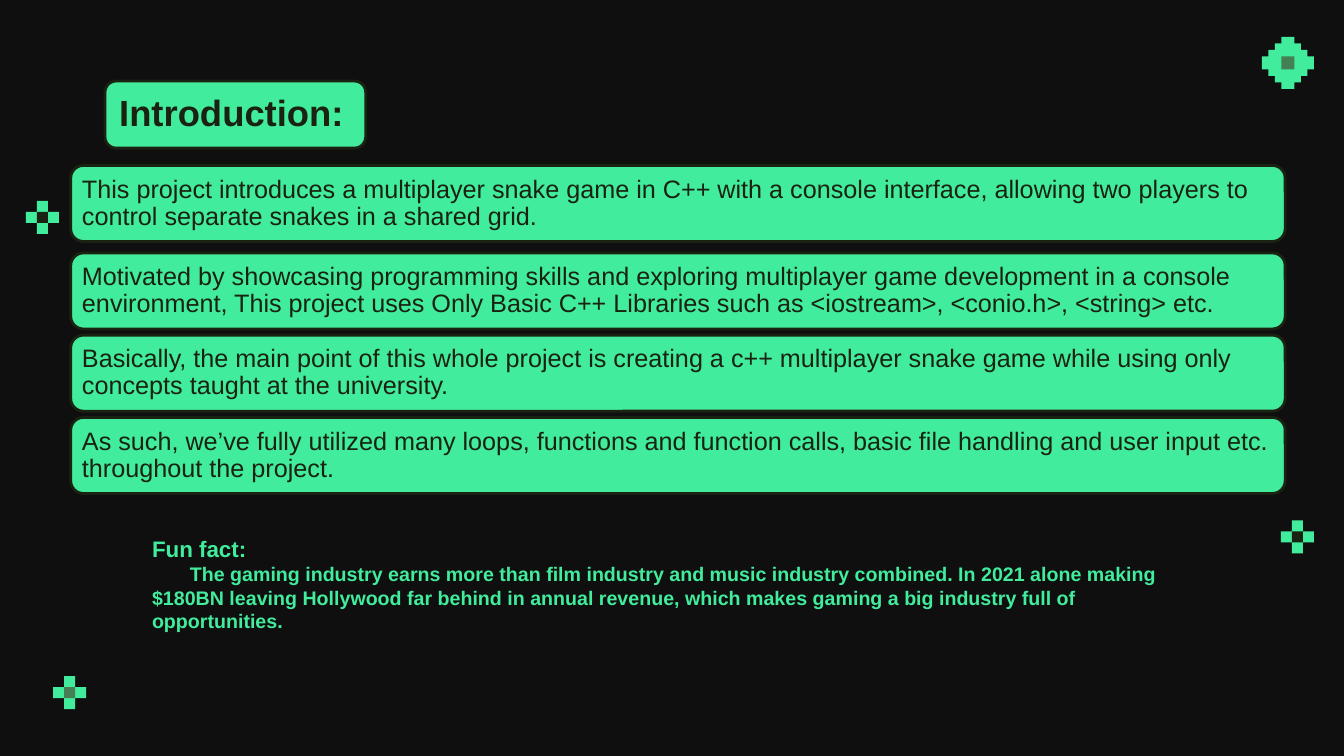
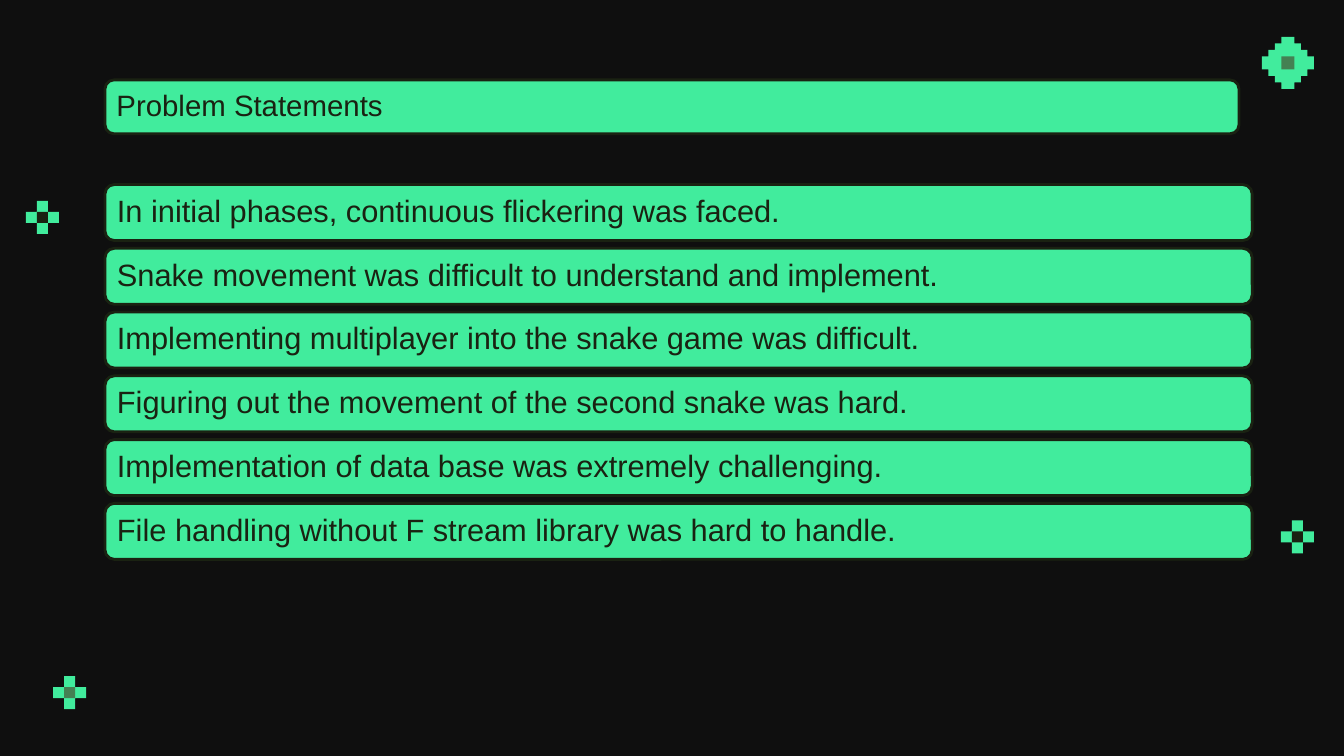
import pptx
import pptx.dml.color
import pptx.enum.shapes
import pptx.enum.text
import pptx.util

Pt = pptx.util.Pt
RGBColor = pptx.dml.color.RGBColor
SHAPE = pptx.enum.shapes.MSO_SHAPE
ANCHOR = pptx.enum.text.MSO_ANCHOR
ALIGN = pptx.enum.text.PP_ALIGN

BACKGROUND = RGBColor(0x0F, 0x0F, 0x0F)
GREEN = RGBColor(0x41, 0xEC, 0x9D)
MOSS = RGBColor(0x44, 0x80, 0x53)
INK = RGBColor(0x1A, 0x22, 0x12)
FONT = "Arial"

CROSS_CELL = 7.85
CROSSES = [(38, 483, MOSS), (18.5, 143.5, INK), (915, 371.7, INK)]
GEM_CELL = 4.64
GEM_HALF_WIDTHS = [1, 2, 3, 4, 4, 3, 2, 1]

INTRODUCTION = [
    (118.2, "This project introduces a multiplayer snake game in C++ with a console "
            "interface, allowing two players to control separate snakes in a shared grid."),
    (180.7, "Motivated by showcasing programming skills and exploring multiplayer game "
            "development in a console environment, This project uses Only Basic C++ "
            "Libraries such as <iostream>, <conio.h>, <string> etc."),
    (239.4, "Basically, the main point of this whole project is creating a c++ multiplayer "
            "snake game while using only concepts taught at the university."),
    (298.2, "As such, we’ve fully utilized many loops, functions and function calls, basic "
            "file handling and user input etc. throughout the project."),
]
FUN_FACT = ("The gaming industry earns more than film industry and music industry combined. "
            "In 2021 alone making $180BN leaving Hollywood far behind in annual revenue, "
            "which makes gaming a big industry full of opportunities.")
PROBLEMS = [
    "In initial phases, continuous flickering was faced.",
    "Snake movement was difficult to understand and implement.",
    "Implementing multiplayer into the snake game was difficult.",
    "Figuring out the movement of the second snake was hard.",
    "Implementation of data base was extremely challenging.",
    "File handling without F stream library was hard to handle.",
]


def paint(shape, color):
    shape.shadow.inherit = False
    shape.fill.solid()
    shape.fill.fore_color.rgb = color
    shape.line.fill.background()


def style(para, size, color, bold=False):
    para.alignment = ALIGN.LEFT
    para.font.name = FONT
    para.font.size = Pt(size)
    para.font.color.rgb = color
    para.font.bold = bold


def add_block(page, kind, left, top, width, height, color):
    block = page.shapes.add_shape(kind, Pt(left), Pt(top), Pt(width), Pt(height))
    paint(block, color)
    return block


def add_cross(page, left, top, centre_color):
    cell = CROSS_CELL
    cross = add_block(page, SHAPE.CROSS, left, top, 3 * cell, 3 * cell, GREEN)
    cross.adjustments[0] = 1 / 3
    add_block(page, SHAPE.RECTANGLE, left + cell, top + cell, cell, cell, centre_color)


def add_gem(page, left, top):
    """Stepped diamond, built row by row, with a square heart."""
    cell = GEM_CELL
    middle = len(GEM_HALF_WIDTHS) / 2
    right_side = [(half, row + step) for row, half in enumerate(GEM_HALF_WIDTHS)
                  for step in (0, 1)]
    left_side = [(-half, row) for half, row in reversed(right_side)]
    points = [(Pt(left + (middle + column) * cell), Pt(top + row * cell))
              for column, row in right_side + left_side]
    builder = page.shapes.build_freeform(*points[0])
    builder.add_line_segments(points[1:], close=True)
    paint(builder.convert_to_shape(), GREEN)
    inset = (middle - 1) * cell
    add_block(page, SHAPE.RECTANGLE, left + inset, top + inset, 2 * cell, 2 * cell, MOSS)


def add_page(deck):
    """Blank page with the pixel ornaments."""
    page = deck.slides.add_slide(deck.slide_layouts[6])
    for left, top, centre_color in CROSSES:
        add_cross(page, left, top, centre_color)
    add_gem(page, 901.4, 26.4)
    return page


def add_bar(page, left, top, width, height, text, size, bold=False):
    bar = add_block(page, SHAPE.ROUNDED_RECTANGLE, left, top, width, height, GREEN)
    bar.line.color.rgb = INK
    bar.line.width = Pt(2)
    frame = bar.text_frame
    frame.word_wrap = True
    frame.vertical_anchor = ANCHOR.MIDDLE
    inset = Pt(0.3 * size)
    frame.margin_left = frame.margin_right = inset
    frame.margin_top = frame.margin_bottom = inset
    para = frame.paragraphs[0]
    para.text = text
    para.line_spacing = 0.9
    style(para, size, INK, bold)


def add_fun_fact(page, left, top, width, height):
    box = page.shapes.add_textbox(Pt(left), Pt(top), Pt(width), Pt(height))
    frame = box.text_frame
    frame.word_wrap = True
    heading = frame.paragraphs[0]
    heading.text = "Fun fact:"
    style(heading, 16, GREEN, bold=True)
    body = frame.add_paragraph()
    body.text = FUN_FACT
    style(body, 14, GREEN, bold=True)
    body._p.get_or_add_pPr().set("indent", str(Pt(27)))


def add_introduction(deck):
    page = add_page(deck)
    add_bar(page, 75, 57.9, 186.2, 47.9, "Introduction:", 26, bold=True)
    for top, text in INTRODUCTION:
        add_bar(page, 50.5, top, 867.5, 54.3, text, 18)
    add_fun_fact(page, 101.5, 378.7, 764.6, 77.8)


def add_problems(deck):
    page = add_page(deck)
    add_bar(page, 75, 57.1, 810, 38.5, "Problem Statements", 21)
    for row, text in enumerate(PROBLEMS):
        add_bar(page, 75, 131.8 + row * 45.55, 819.4, 40, text, 22)


def main():
    deck = pptx.Presentation()
    deck.slide_width, deck.slide_height = Pt(960), Pt(540)
    backdrop = deck.slide_master.background.fill
    backdrop.solid()
    backdrop.fore_color.rgb = BACKGROUND
    add_introduction(deck)
    add_problems(deck)
    deck.save("out.pptx")


if __name__ == "__main__":
    main()
